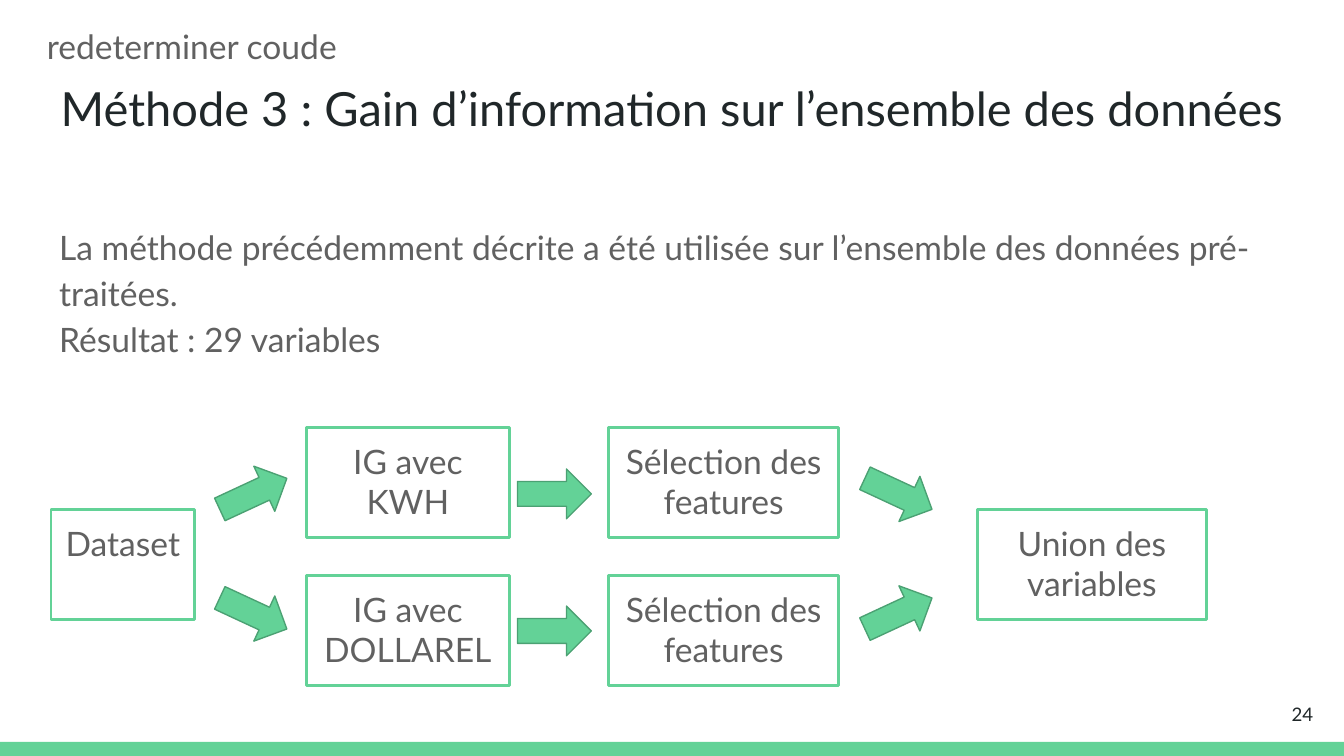
from dataclasses import dataclass

from lxml.etree import SubElement
from pptx import Presentation
from pptx.dml.color import RGBColor
from pptx.enum.shapes import MSO_SHAPE as Shape
from pptx.enum.text import MSO_ANCHOR as Anchor, MSO_AUTO_SIZE as AutoSize, PP_ALIGN as Align
from pptx.oxml.ns import qn
from pptx.util import Inches, Pt


@dataclass(frozen=True)
class Theme:
    font: str = "Lato"
    green: RGBColor = RGBColor(0x63, 0xD2, 0x97)
    edge: RGBColor = RGBColor(0x4B, 0xA1, 0x73)
    dark: RGBColor = RGBColor(0x20, 0x27, 0x29)
    grey: RGBColor = RGBColor(0x61, 0x61, 0x61)
    title: float = 25.2
    body: float = 18
    number: float = 10


theme = Theme()


def write(sp, text, size, color, align=Align.LEFT, anchor=Anchor.TOP, spacing=1.0):
    tf = sp.text_frame
    tf.text = text
    tf.word_wrap = True
    tf.auto_size = AutoSize.NONE
    tf.vertical_anchor = anchor
    tf.margin_left = tf.margin_right = tf.margin_top = tf.margin_bottom = Inches(0.1)
    for p in tf.paragraphs:
        p.alignment = align
        p.line_spacing = spacing
        p.space_before = Pt(0)
        for r in p.runs:
            r.font.name = theme.font
            r.font.size = Pt(size)
            r.font.color.rgb = color


def place(sp, left, top, width, height):
    sp.left, sp.top = Inches(left), Inches(top)
    sp.width, sp.height = Inches(width), Inches(height)


prs = Presentation()
prs.slide_width = Inches(10)
prs.slide_height = Inches(10 * 9 / 16)
s = prs.slides.add_slide(prs.slide_layouts[1])

band = s.shapes.add_shape(Shape.RECTANGLE, 0, Inches(5.52), Inches(10), Inches(0.11))
band.shadow.inherit = False
band.fill.solid()
band.fill.fore_color.rgb = theme.green
band.line.fill.background()

title = s.shapes.title
place(title, 0.34, 0.49, 9.32, 1)
write(title, "Méthode 3 : Gain d’information sur l’ensemble des données",
      theme.title, theme.dark, Align.CENTER)

body = s.placeholders[1]
place(body, 0.34, 1.54, 9.32, 1.27)
write(body, "La méthode précédemment décrite a été utilisée sur l’ensemble des données "
      "pré-traitées.\nRésultat : 29 variables", theme.body, theme.grey, spacing=1.15)
for p in body.text_frame.paragraphs:
    pPr = p._p.get_or_add_pPr()
    pPr.set("marL", "0")
    pPr.set("indent", "0")
    SubElement(pPr, qn("a:buNone"))

number = s.shapes.add_textbox(Inches(9.27), Inches(5.1), Inches(0.6), Inches(0.43))
write(number, "24", theme.number, theme.dark, Align.RIGHT, Anchor.MIDDLE)

upper, middle, lower = 3.18, 3.79, 4.28
steps = [
    ("Dataset", 0.38, middle, 1.07),
    ("IG avec KWH", 2.28, upper, 1.51),
    ("IG avec DOLLAREL", 2.28, lower, 1.51),
    ("Sélection des features", 4.53, upper, 1.71),
    ("Sélection des features", 4.53, lower, 1.71),
    ("Union des variables", 7.27, middle, 1.71),
]
for text, left, top, width in steps:
    sp = s.shapes.add_shape(Shape.RECTANGLE, Inches(left), Inches(top), Inches(width), Inches(0.82))
    sp.shadow.inherit = False
    sp.fill.background()
    sp.line.color.rgb = theme.green
    sp.line.width = Pt(1.5)
    write(sp, text, theme.body, theme.grey, Align.CENTER)

tilt = 24.9
arrows = [
    (3.85, 3.49, 0),
    (3.85, 4.51, 0),
    (1.61, 4.38, tilt),
    (1.61, 3.49, -tilt),
    (6.41, 3.49, tilt),
    (6.41, 4.38, -tilt),
]
for left, top, angle in arrows:
    sp = s.shapes.add_shape(Shape.RIGHT_ARROW, Inches(left), Inches(top), Inches(0.55), Inches(0.37))
    sp.shadow.inherit = False
    sp.rotation = angle
    sp.fill.solid()
    sp.fill.fore_color.rgb = theme.green
    sp.line.color.rgb = theme.edge
    sp.line.width = Pt(0.75)

remark = s.shapes.add_textbox(Inches(0.25), Inches(0.09), Inches(4.31), Inches(0.44))
write(remark, "redeterminer coude", theme.body, theme.grey)

prs.save("out.pptx")
